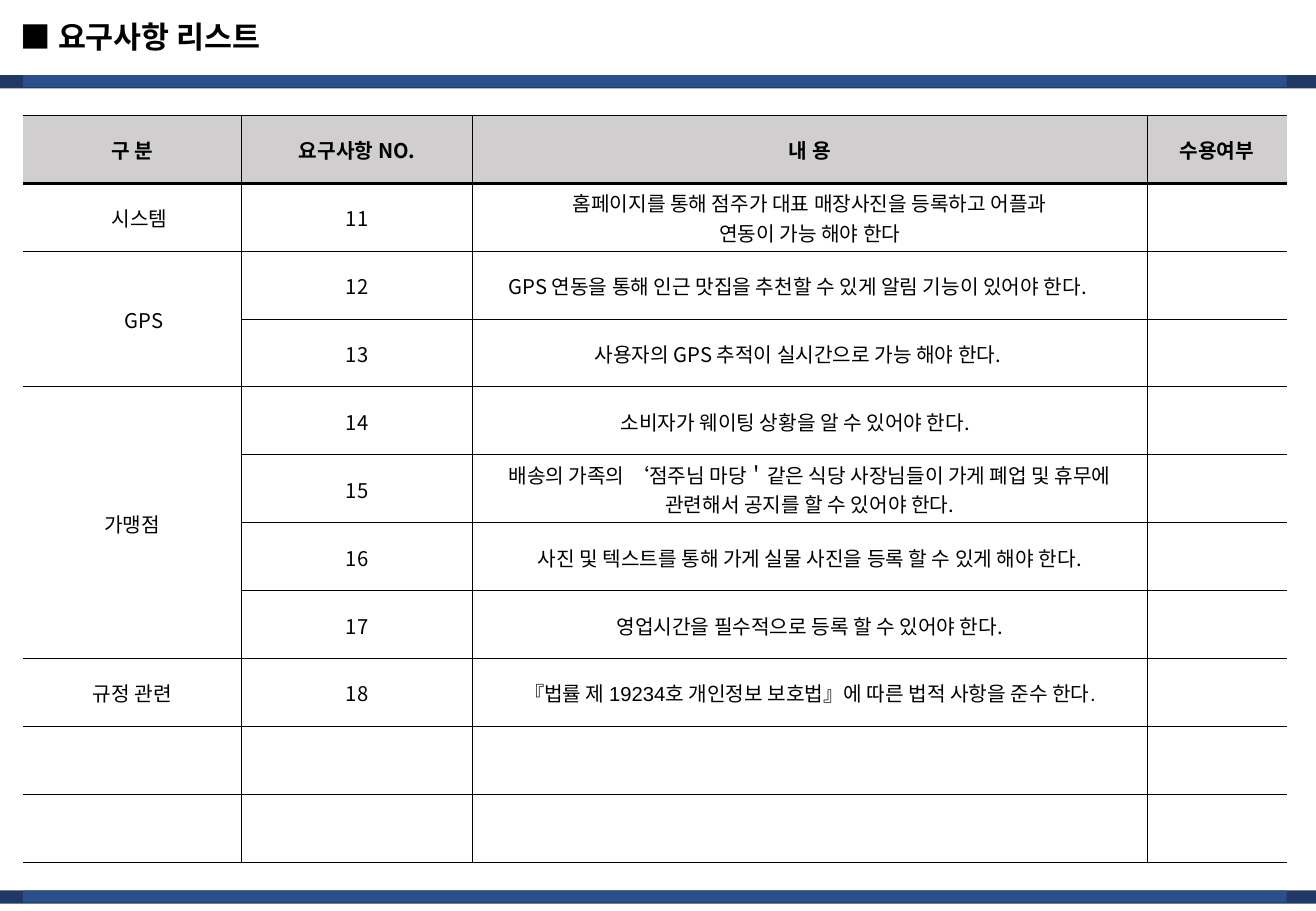
from lxml.etree import SubElement
from pptx import Presentation
from pptx.dml.color import RGBColor
from pptx.enum.shapes import MSO_SHAPE
from pptx.enum.text import MSO_ANCHOR, MSO_AUTO_SIZE, PP_ALIGN
from pptx.oxml.ns import qn
from pptx.util import Cm, Pt

BODY_FONT = "Noto Sans CJK KR"
SLIDE_WIDTH = 27.51
MARGIN = 0.48
CONTENT_WIDTH = 26.42
BAR_TOPS = (1.57, 18.62)
COLUMN_WIDTHS = (4.57, 4.83, 14.1, 2.92)
ROW_HEIGHT = 1.42
FIRST_NUMBER = 11
THIN, THICK = 0.5, 2

HEADINGS = ("구 분", "요구사항 NO.", "내 용", "수용여부")
GROUPS = (("시스템", 1, 0.3), ("GPS", 2, 0.5), ("가맹점", 4, 0), ("규정 관련", 1, 0))
REQUIREMENTS = (
    ("홈페이지를 통해 점주가 대표 매장사진을 등록하고 어플과\n연동이 가능 해야 한다", 0),
    ("GPS 연동을 통해 인근 맛집을 추천할 수 있게 알림 기능이 있어야 한다.", 0.5),
    ("사용자의 GPS 추적이 실시간으로 가능 해야 한다.", 0.5),
    ("소비자가 웨이팅 상황을 알 수 있어야 한다.", 0.6),
    ("배송의 가족의 ‘점주님 마당＇같은 식당 사장님들이 가게 폐업 및 휴무에 "
     "관련해서 공지를 할 수 있어야 한다.", 0),
    ("사진 및 텍스트를 통해 가게 실물 사진을 등록 할 수 있게 해야 한다.", 0),
    ("영업시간을 필수적으로 등록 할 수 있어야 한다.", 0),
    ("『법률 제 19234호 개인정보 보호법』에 따른 법적 사항을 준수 한다.".replace("제 ", "제 "), 0),
)
ROW_COUNT = 11


def color(value):
    return RGBColor.from_string(value)


def set_attributes(target, values):
    for name, value in values.items():
        setattr(target, name, value)


def format_run(run, size, font="Calibri", bold=False):
    set_attributes(run.font, {"name": font, "size": Pt(size), "bold": bold})
    run.font.color.rgb = color("000000")
    SubElement(run._r.get_or_add_rPr(), qn("a:ea"), typeface=BODY_FONT)


def add_title(slide, text):
    title = slide.shapes.title
    set_attributes(title, {"left": Cm(0.18), "top": Cm(0.25),
                           "width": Cm(8.2), "height": Cm(1.02)})
    set_attributes(title.text_frame, {
        "text": text, "word_wrap": True, "auto_size": MSO_AUTO_SIZE.NONE,
        "vertical_anchor": MSO_ANCHOR.MIDDLE})
    paragraph = title.text_frame.paragraphs[0]
    paragraph.alignment = PP_ALIGN.LEFT
    format_run(paragraph.runs[0], 18, bold=True)


def add_bar(slide, left, top, width, height, fill, opacity=100):
    shape = slide.shapes.add_shape(MSO_SHAPE.RECTANGLE, Cm(left), Cm(top), Cm(width), Cm(height))
    shape.shadow.inherit = False
    shape.line.fill.background()
    shape.fill.solid()
    shape.fill.fore_color.rgb = color(fill)
    if opacity < 100:
        fill_color = shape._element.spPr.find(f".//{qn('a:srgbClr')}")
        SubElement(fill_color, qn("a:alpha"), val=str(opacity * 1000))


def set_borders(cell, widths):
    properties = cell._tc.get_or_add_tcPr()
    for side, width in widths.items():
        line = SubElement(properties, qn(f"a:ln{side}"), w=str(Pt(width)))
        if width:
            fill = SubElement(line, qn("a:solidFill"))
            SubElement(fill, qn("a:srgbClr"), val="000000")
        else:
            SubElement(line, qn("a:noFill"))


def style_cell(cell, row, column):
    set_borders(cell, {
        "L": THIN if column else 0,
        "R": THIN if column < len(COLUMN_WIDTHS) - 1 else 0,
        "T": THICK if row == 1 else THIN,
        "B": THICK if row == 0 else THIN})
    set_attributes(cell, {
        "margin_left": Cm(0.03), "margin_right": Cm(0.03), "margin_top": Cm(0.03),
        "margin_bottom": 0, "vertical_anchor": MSO_ANCHOR.MIDDLE})
    if row == 0:
        cell.fill.solid()
        cell.fill.fore_color.rgb = color("D0CECE")
    else:
        cell.fill.background()


def write_cell(cell, text, font=BODY_FONT, bold=False):
    cell.text_frame.text = text
    for paragraph in cell.text_frame.paragraphs:
        paragraph.alignment = PP_ALIGN.CENTER
        for run in paragraph.runs:
            format_run(run, 12, font, bold)


def add_requirement_table(slide):
    table = slide.shapes.add_table(
        ROW_COUNT, len(COLUMN_WIDTHS), Cm(MARGIN), Cm(2.41),
        Cm(CONTENT_WIDTH), Cm(ROW_HEIGHT * ROW_COUNT)).table
    set_attributes(table, {"first_row": False, "horz_banding": False})
    for column, width in zip(table.columns, COLUMN_WIDTHS):
        column.width = Cm(width)
    for row_index, row in enumerate(table.rows):
        row.height = Cm(ROW_HEIGHT)
        for column_index, cell in enumerate(row.cells):
            style_cell(cell, row_index, column_index)

    for column_index, heading in enumerate(HEADINGS):
        write_cell(table.cell(0, column_index), heading, bold=True)

    group_row = 1
    for name, span, indent in GROUPS:
        cell = table.cell(group_row, 0)
        if span > 1:
            cell.merge(table.cell(group_row + span - 1, 0))
        write_cell(cell, name)
        cell.margin_left = Cm(0.03 + indent)
        group_row += span

    for row_index, (text, indent) in enumerate(REQUIREMENTS, start=1):
        write_cell(table.cell(row_index, 1), str(FIRST_NUMBER + row_index - 1))
        cell = table.cell(row_index, 2)
        write_cell(cell, text, "Arial" if text.startswith("『") else BODY_FONT)
        cell.margin_right = Cm(0.03 + indent)


def main():
    presentation = Presentation()
    set_attributes(presentation, {"slide_width": Cm(SLIDE_WIDTH), "slide_height": Cm(19.05)})
    slide = presentation.slides.add_slide(presentation.slide_layouts[5])
    add_title(slide, "■ 요구사항 리스트")
    for top in BAR_TOPS:
        add_bar(slide, 0, top, SLIDE_WIDTH, 0.28, "203864")
        add_bar(slide, MARGIN, top, CONTENT_WIDTH, 0.25, "2F5597", opacity=80)
    add_requirement_table(slide)
    presentation.save("out.pptx")


if __name__ == "__main__":
    main()
